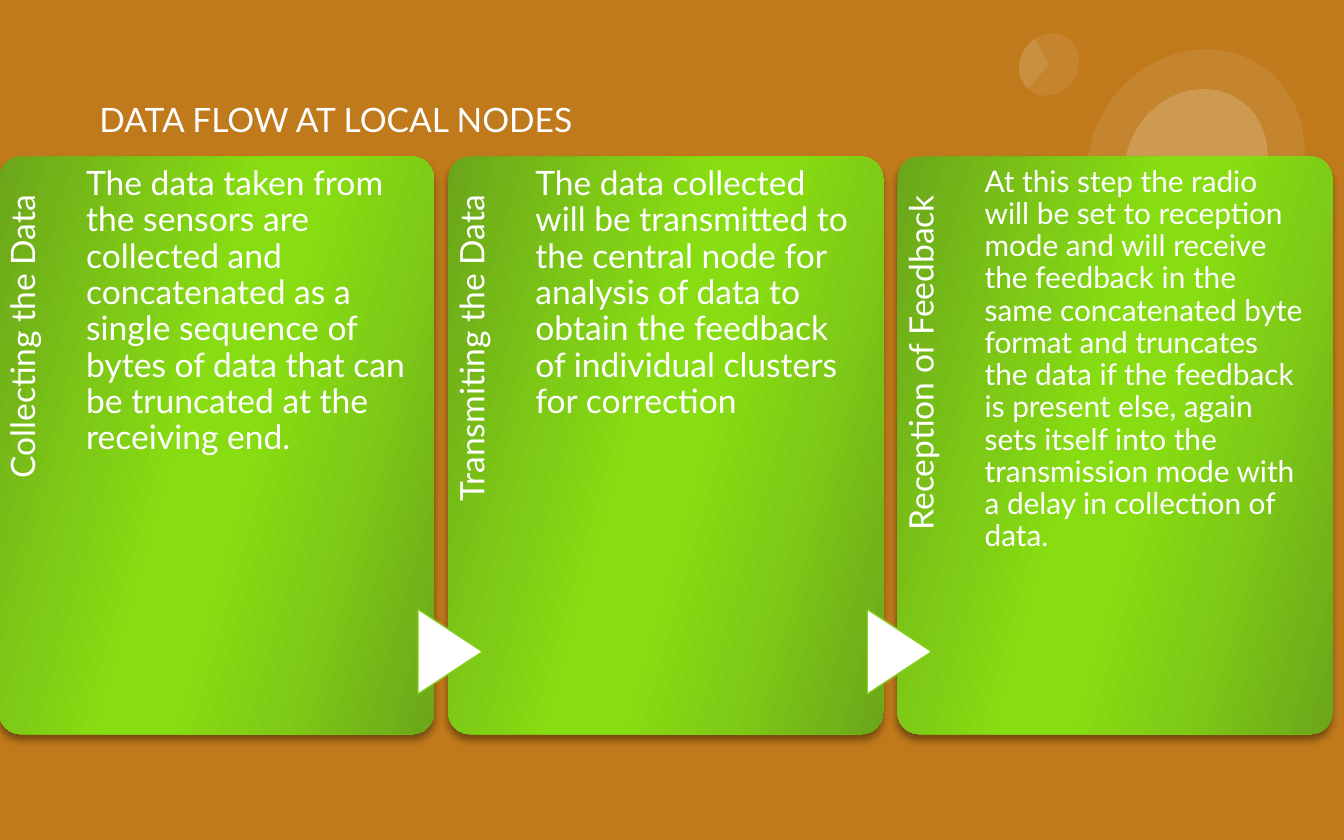
from lxml.etree import SubElement
from pptx import Presentation
from pptx.dml.color import RGBColor
from pptx.enum.shapes import MSO_SHAPE
from pptx.enum.text import MSO_ANCHOR, PP_ALIGN
from pptx.oxml.ns import qn
from pptx.util import Cm, Pt

WHITE = RGBColor(0xFF, 0xFF, 0xFF)
BLACK = RGBColor(0x00, 0x00, 0x00)
ORANGE = RGBColor(0xC0, 0x79, 0x1B)
ARROW_EDGE = RGBColor(0x85, 0xCE, 0x21)
DARK_GREEN = RGBColor(0x6B, 0xA6, 0x1A)
MID_GREEN = RGBColor(0x7F, 0xCC, 0x16)
BRIGHT_GREEN = RGBColor(0x87, 0xDD, 0x11)
CARD_STOPS = [(0, DARK_GREEN), (30, MID_GREEN), (45, BRIGHT_GREEN),
              (55, BRIGHT_GREEN), (73, MID_GREEN), (100, DARK_GREEN)]
FONT = "Lato"
CARD_LEFT, CARD_TOP, CARD_WIDTH, CARD_HEIGHT = -0.02, 2.96, 8.22, 10.92
CARD_PITCH = 8.49
STEPS = [
    ("Collecting the Data", 18,
     "The data taken from the sensors are collected and concatenated as a "
     "single sequence of bytes of data that can be truncated at the "
     "receiving end."),
    ("Transmiting the Data", 18,
     "The data collected will be transmitted to the central node for "
     "analysis of data to obtain the feedback of individual clusters for "
     "correction"),
    ("Reception of Feedback", 16,
     "At this step the radio will be set to reception mode and will receive "
     "the feedback in the same concatenated byte format and truncates the "
     "data if the feedback is present else, again sets itself into the "
     "transmission mode with a delay in collection of data."),
]


def add_colour(parent, colour, opacity=100):
    """Add an RGB colour element with the given opacity in percent."""
    element = SubElement(parent, qn("a:srgbClr"), val=str(colour))
    if opacity < 100:
        SubElement(element, qn("a:alpha"), val=str(opacity * 1000))


def add_figure(page, kind, left, top, width, height):
    """Add a preset shape without shadow or line."""
    shape = page.shapes.add_shape(kind, Cm(left), Cm(top), Cm(width), Cm(height))
    shape.shadow.inherit = False
    shape.line.fill.background()
    return shape


def add_text(page, text, left, top, width, height, size=18, top_inset=0.0,
             right_inset=0.0, spacing=None):
    """Add a wrapping white text box and return it."""
    box = page.shapes.add_textbox(Cm(left), Cm(top), Cm(width), Cm(height))
    frame = box.text_frame
    frame.word_wrap = True
    frame.margin_left = frame.margin_bottom = 0
    frame.margin_top, frame.margin_right = Cm(top_inset), Cm(right_inset)
    para = frame.paragraphs[0]
    para.text = text
    para.line_spacing = spacing
    para.font.name = FONT
    para.font.size = Pt(size)
    para.font.color.rgb = WHITE
    return box


def add_bubble(page, left, top, width, height, angles=None):
    """Add a faint tilted ellipse, with a pie over it when angles are given."""
    kinds = [MSO_SHAPE.OVAL] + ([MSO_SHAPE.PIE] if angles else [])
    for kind in kinds:
        bubble = add_figure(page, kind, left, top, width, height)
        bubble.rotation = 215.9 if width > 2 else 35.8
        bubble.fill.solid()
        bubble.fill.fore_color.rgb = WHITE
        fill = bubble.element.spPr.find(qn("a:solidFill"))
        SubElement(fill[0], qn("a:alpha"), val="9000")
        if kind == MSO_SHAPE.PIE:
            for index, angle in enumerate(angles):
                bubble.adjustments[index] = angle * 0.6


def add_card(page, left, top, width, height):
    """Add a rounded green card with a gradient and a soft shadow."""
    card = add_figure(page, MSO_SHAPE.ROUNDED_RECTANGLE, left, top, width, height)
    card.adjustments[0] = 0.05
    card.fill.gradient()
    card.fill.gradient_angle = 344
    properties = card.element.spPr
    stops = properties.find(qn("a:gradFill")).find(qn("a:gsLst"))
    stops.clear()
    for position, colour in CARD_STOPS:
        add_colour(SubElement(stops, qn("a:gs"), pos=str(position * 1000)), colour)
    shadow = SubElement(properties.find(qn("a:effectLst")), qn("a:outerShdw"),
                        blurRad=str(Pt(4)), dist=str(Pt(3.3)), dir="5400000",
                        rotWithShape="0")
    add_colour(shadow, BLACK, 40)


def add_arrow(page, left, top, width, height):
    """Add the white triangle that points to the next step."""
    arrow = add_figure(page, MSO_SHAPE.FLOWCHART_EXTRACT, left, top, width, height)
    arrow.rotation = 90
    arrow.fill.solid()
    arrow.fill.fore_color.rgb = WHITE
    arrow.line.color.rgb = ARROW_EDGE
    arrow.line.width = Pt(0.75)


def add_step(page, left, top, width, height, step, has_arrow):
    """Add one step: card, upright label, incoming arrow and description."""
    label, size, description = step
    add_card(page, left, top, width, height)
    label_box = add_text(page, label, left - 3.66, top + 3.66, 8.94, 1.65,
                         top_inset=0.15, right_inset=0.71, spacing=0.9)
    label_box.rotation = 270
    label_box.text_frame.paragraphs[0].alignment = PP_ALIGN.RIGHT
    if has_arrow:
        add_arrow(page, left - 0.76, top + 8.75, 1.6, 1.22)
    add_text(page, description, left + 1.65, top, 6.12, height, size,
             top_inset=0.19, spacing=0.9)


def add_title(page, left, top, width, height):
    """Add the slide title, centred vertically in its box."""
    title = add_text(page, "DATA FLOW AT LOCAL NODES", left, top, width, height)
    title.text_frame.vertical_anchor = MSO_ANCHOR.MIDDLE


def main():
    """Build the slide and save it."""
    deck = Presentation()
    deck.slide_width, deck.slide_height = Cm(25.4), Cm(15.88)
    page = deck.slides.add_slide(deck.slide_layouts[6])
    page.background.fill.solid()
    page.background.fill.fore_color.rgb = ORANGE
    add_bubble(page, 21.31, 1.63, 2.59, 2.9, (322.95, 205.23))
    add_bubble(page, 20.62, 0.86, 3.96, 4.39)
    add_bubble(page, 19.28, 0.61, 1.09, 1.22, (95, 205.23))
    add_title(page, 1.88, 0.84, 21.39, 2.82)
    for index, step in enumerate(STEPS):
        add_step(page, CARD_LEFT + index * CARD_PITCH, CARD_TOP, CARD_WIDTH,
                 CARD_HEIGHT, step, index > 0)
    deck.save("out.pptx")


if __name__ == "__main__":
    main()
